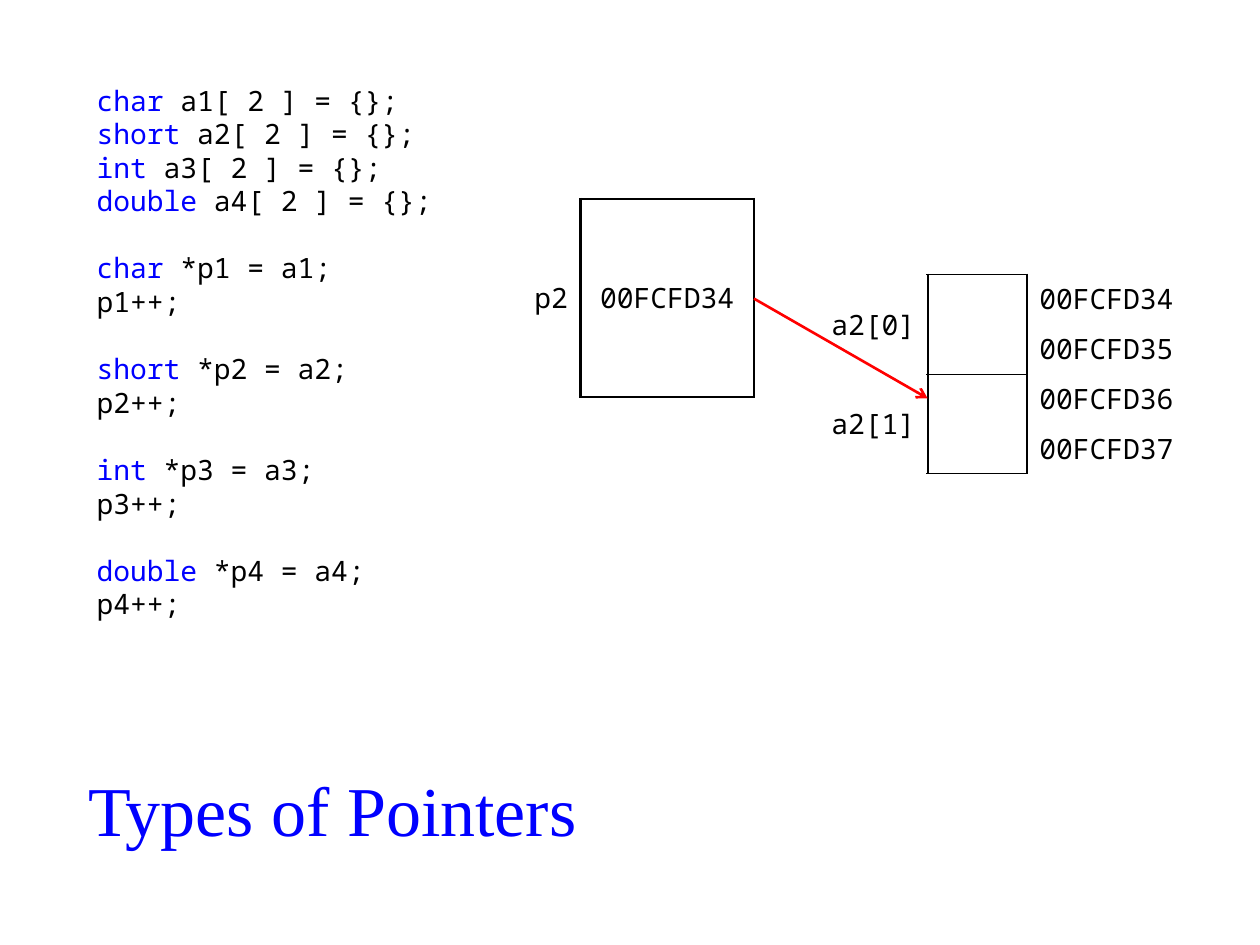
"""Build the "Types of Pointers" slide: code beside a memory diagram."""
from dataclasses import dataclass

from lxml.etree import SubElement
from pptx import Presentation
from pptx.dml.color import RGBColor
from pptx.enum.shapes import MSO_CONNECTOR as Connector
from pptx.enum.text import MSO_ANCHOR as Anchor, PP_ALIGN as Align
from pptx.oxml.ns import qn
from pptx.util import Cm, Pt


@dataclass(frozen=True)
class Theme:
    ink: RGBColor = RGBColor(0, 0, 0)
    blue: RGBColor = RGBColor(0, 0, 255)
    red: RGBColor = RGBColor(255, 0, 0)
    title_size: Pt = Pt(40)
    code_size: Pt = Pt(16)
    pitch: Pt = Pt(19.2)
    rule: Pt = Pt(1.5)
    thin: Pt = Pt(1)
    title_font: str = "Times New Roman"
    code_font: str = "Noto Sans Mono"


theme = Theme()
plain = {"name": theme.code_font, "size": theme.code_size}


def add_span(para, text, color, **values):
    span = para.add_run()
    span.text = text
    for name, value in (plain | values).items():
        setattr(span.font, name, value)
    span.font.color.rgb = color


def fill_cell(cell, text="", align=Align.LEFT, edges=None, **values):
    for name, value in ({"vertical_anchor": Anchor.MIDDLE} | values).items():
        setattr(cell, name, value)
    para = cell.text_frame.paragraphs[0]
    para.alignment = align
    if text:
        add_span(para, text, theme.ink)
    for side in "LRTB":
        if side in (edges or {}):
            line = SubElement(cell._tc.get_or_add_tcPr(), qn(f"a:ln{side}"), w=str(edges[side]))
            paint = SubElement(line, qn("a:solidFill"))
            SubElement(paint, qn("a:srgbClr"), val=str(theme.ink))
    cell.fill.background()


deck = Presentation()
deck.slide_width, deck.slide_height = Cm(25.4), Cm(19.05)
page = deck.slides.add_slide(deck.slide_layouts[6])

title = page.shapes.add_textbox(Cm(1.2), Cm(15.04), Cm(11), Cm(2.5)).text_frame
title.word_wrap = True
title.vertical_anchor = Anchor.MIDDLE
title.paragraphs[0].alignment = Align.CENTER
add_span(title.paragraphs[0], "Types of Pointers", theme.blue, name=theme.title_font, size=theme.title_size)

kinds = ["char", "short", "int", "double"]
code = [(kind, f" a{number}[ 2 ] = {{}};", 0) for number, kind in enumerate(kinds, 1)]
for number, kind in enumerate(kinds, 1):
    code += [(kind, f" *p{number} = a{number};", theme.pitch), ("", f"p{number}++;", 0)]

listing = page.shapes.add_textbox(Cm(1.7), Cm(1.55), Cm(9.5), Cm(11.5)).text_frame
listing.word_wrap = True
for index, (keyword, rest, gap) in enumerate(code):
    para = listing.add_paragraph() if index else listing.paragraphs[0]
    para.line_spacing = theme.pitch
    para.space_before = Pt(0) if not gap else gap
    if keyword:
        add_span(para, keyword, theme.blue)
    add_span(para, rest, theme.ink)

tables = []
for left, top, widths, rows, height in [(16.2, 5.53, (2.5, 2, 3.5), 4, 1), (10.2, 4.01, (1.5, 3.5), 1, 4)]:
    frame = page.shapes.add_table(rows, len(widths), Cm(left), Cm(top), Cm(sum(widths)), Cm(rows * height))
    table = frame.table
    table.first_row = table.horz_banding = False
    table._tbl.tblPr.find(qn("a:tableStyleId")).text = "{2D5ABB26-0587-4C30-8999-92F81FD0307C}"
    for column, width in zip(table.columns, widths):
        column.width = Cm(width)
    for row in table.rows:
        row.height = Cm(height)
    tables.append(table)
memory, pointer = tables

for row in range(4):
    item, second = divmod(row, 2)
    if not second:
        for column in range(2):
            memory.cell(row, column).merge(memory.cell(row + 1, column))
    fill_cell(memory.cell(row, 0), "" if second else f"a2[{item}]", Align.RIGHT, {"R": theme.rule})
    sides = {"L": theme.rule, "R": theme.rule, "B": theme.thin}
    fill_cell(memory.cell(row, 1), edges=sides if second else sides | {"T": theme.thin})
    fill_cell(memory.cell(row, 2), f"00FCFD{34 + row}", margin_top=Cm(0.05), margin_bottom=Cm(0.05))

fill_cell(pointer.cell(0, 0), "p2", Align.RIGHT, {"R": theme.rule})
fill_cell(pointer.cell(0, 1), "00FCFD34", Align.CENTER, dict.fromkeys("LRTB", theme.rule))

arrow = page.shapes.add_connector(Connector.STRAIGHT, Cm(15.2), Cm(6.02), Cm(18.7), Cm(8.03))
arrow.line.color.rgb = theme.red
arrow.line.width = theme.rule
SubElement(arrow.line._get_or_add_ln(), qn("a:tailEnd"), type="arrow")
SubElement(arrow._element.spPr, qn("a:effectLst"))

deck.save("out.pptx")
